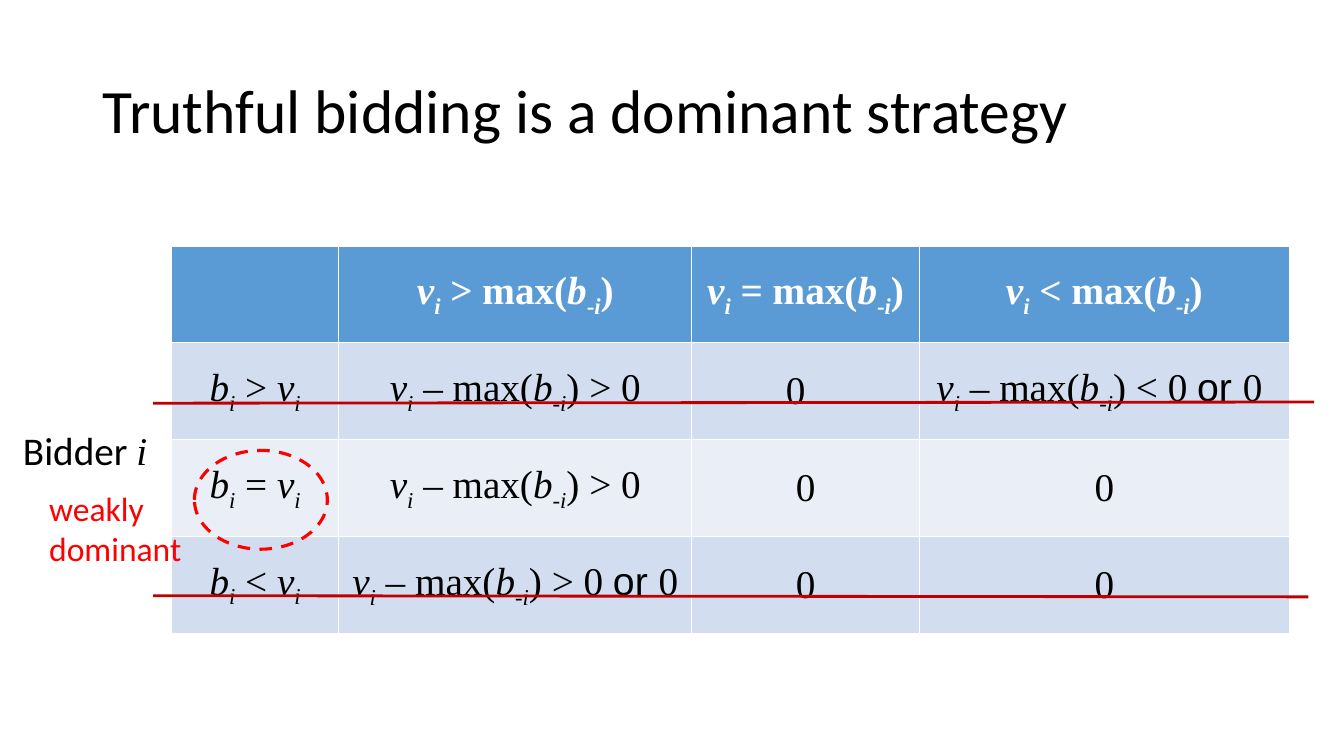
"""Build the slide showing that truthful bidding is a dominant strategy."""
import pptx
import pptx.util
import pptx.dml.color
import pptx.enum.dml
import pptx.enum.shapes
import pptx.enum.text
from pptx.util import Cm, Pt
from pptx.dml.color import RGBColor

BLACK = RGBColor(0x00, 0x00, 0x00)
WHITE = RGBColor(0xFF, 0xFF, 0xFF)
RED = RGBColor(0xFF, 0x00, 0x00)
DARK_RED = RGBColor(0xC0, 0x00, 0x00)
HEADER_BLUE = RGBColor(0x5B, 0x9B, 0xD5)
BAND_BLUES = [RGBColor(0xEA, 0xEF, 0xF7), RGBColor(0xD2, 0xDE, 0xEF)]

SERIF, SANS, HEADING = "Times New Roman", "Arial", "Calibri"
STYLES = {
    "plain": {"name": SERIF},
    "variable": {"name": SERIF, "italic": True},
    "word": {"name": SANS},
    "label": {"name": HEADING},
}

VALUE = [("v", "variable"), ("i", "variable", "sub")]
BID = [("b", "variable"), ("i", "variable", "sub")]
OTHERS = [("b", "variable"), ("-", "plain", "sub"), ("i", "variable", "sub")]


def compare(sign):
    return VALUE + [(f" {sign} max(", "plain")] + OTHERS + [(")", "plain")]


def strategy(sign):
    return BID + [(f" {sign} ", "plain")] + VALUE


def surplus(ending):
    return VALUE + [(" – max(", "plain")] + OTHERS + [(f") {ending}", "plain")]


ZERO = [("0", "plain")]
TITLE = [("Truthful bidding is a dominant strategy", "label")]
PAYOFFS = [
    [[], compare(">"), compare("="), compare("<")],
    [strategy(">"), surplus("> 0"), ZERO,
     surplus("< 0 ") + [("or ", "word"), ("0 ", "plain")]],
    [strategy("="), surplus("> 0"), ZERO, ZERO],
    [strategy("<"), surplus("> 0 ") + [("or ", "word"), ("0", "plain")], ZERO, ZERO],
]
COLUMN_WIDTHS = [4.22, 8.89, 5.74, 9.32]
ROW_HEIGHT = 2.44
LABELS = [
    ([("Bidder ", "label"), ("i", "variable")], (0.33, 10.62, 3.68, 1.45), False, 28, BLACK),
    ([("weakly dominant", "label")], (0.99, 12.17, 3.89, 2.31), True, 24, RED),
]
STRIKES = [(3.86, 10.16, 33.12, 10.13), (3.86, 15.01, 32.97, 15.04)]


def lengths(values):
    return [Cm(value) for value in values]


def write(paragraph, pieces, size, color, bold=False):
    for text, style, *script in pieces:
        run = paragraph.add_run()
        run.text = text
        values = {"size": Pt(size), "bold": bold, "italic": False, **STYLES[style]}
        for attribute, value in values.items():
            setattr(run.font, attribute, value)
        run.font.color.rgb = color
        if script:
            run.font._element.set("baseline", "-25000")


def add_title(slide):
    title = slide.shapes.title
    place = zip(("left", "top", "width", "height"), lengths((2.34, 1.02, 29.21, 3.68)))
    for attribute, value in place:
        setattr(title, attribute, value)
    title.text_frame.vertical_anchor = pptx.enum.text.MSO_ANCHOR.MIDDLE
    heading = title.text_frame.paragraphs[0]
    for attribute, value in {"alignment": pptx.enum.text.PP_ALIGN.LEFT, "line_spacing": 0.9}.items():
        setattr(heading, attribute, value)
    write(heading, TITLE, 44, BLACK)


def add_payoffs(slide):
    place = lengths((4.32, 6.2, sum(COLUMN_WIDTHS), ROW_HEIGHT * len(PAYOFFS)))
    payoffs = slide.shapes.add_table(len(PAYOFFS), len(COLUMN_WIDTHS), *place).table
    for column, width in zip(payoffs.columns, COLUMN_WIDTHS):
        column.width = Cm(width)
    for row, outcomes in enumerate(PAYOFFS):
        payoffs.rows[row].height = Cm(ROW_HEIGHT)
        header = row == 0
        for column, pieces in enumerate(outcomes):
            cell = payoffs.cell(row, column)
            cell.fill.solid()
            cell.fill.fore_color.rgb = HEADER_BLUE if header else BAND_BLUES[row % 2]
            cell.vertical_anchor = pptx.enum.text.MSO_ANCHOR.MIDDLE
            outcome = cell.text_frame.paragraphs[0]
            outcome.alignment = pptx.enum.text.PP_ALIGN.CENTER
            write(outcome, pieces, 28, WHITE if header else BLACK, header)
    payoffs.cell(1, 2).margin_right = Cm(0.75)


def add_labels(slide):
    for pieces, place, wrap, size, color in LABELS:
        label = slide.shapes.add_textbox(*lengths(place)).text_frame
        label.word_wrap = wrap
        label.auto_size = pptx.enum.text.MSO_AUTO_SIZE.SHAPE_TO_FIT_TEXT
        write(label.paragraphs[0], pieces, size, color)


def add_strikes(slide):
    for ends in STRIKES:
        strike = slide.shapes.add_connector(
            pptx.enum.shapes.MSO_CONNECTOR.STRAIGHT, *lengths(ends))
        strike.line.color.rgb = DARK_RED
        strike.line.width = Pt(2)
        properties = strike._element.spPr
        properties.append(properties.makeelement(pptx.oxml.ns.qn("a:effectLst"), {}))


def add_highlight(slide):
    highlight = slide.shapes.add_shape(
        pptx.enum.shapes.MSO_SHAPE.OVAL, *lengths((4.9, 11.35, 3.35, 2.49)))
    highlight.shadow.inherit = False
    highlight.fill.background()
    highlight.line.color.rgb = RED
    values = {"width": Pt(2.25), "dash_style": pptx.enum.dml.MSO_LINE.DASH}
    for attribute, value in values.items():
        setattr(highlight.line, attribute, value)


def main():
    deck = pptx.Presentation()
    deck.slide_width, deck.slide_height = lengths((33.87, 19.05))
    slide = deck.slides.add_slide(deck.slide_layouts[5])
    for add_part in (add_title, add_payoffs, add_strikes, add_labels, add_highlight):
        add_part(slide)
    deck.save("out.pptx")


if __name__ == "__main__":
    main()
